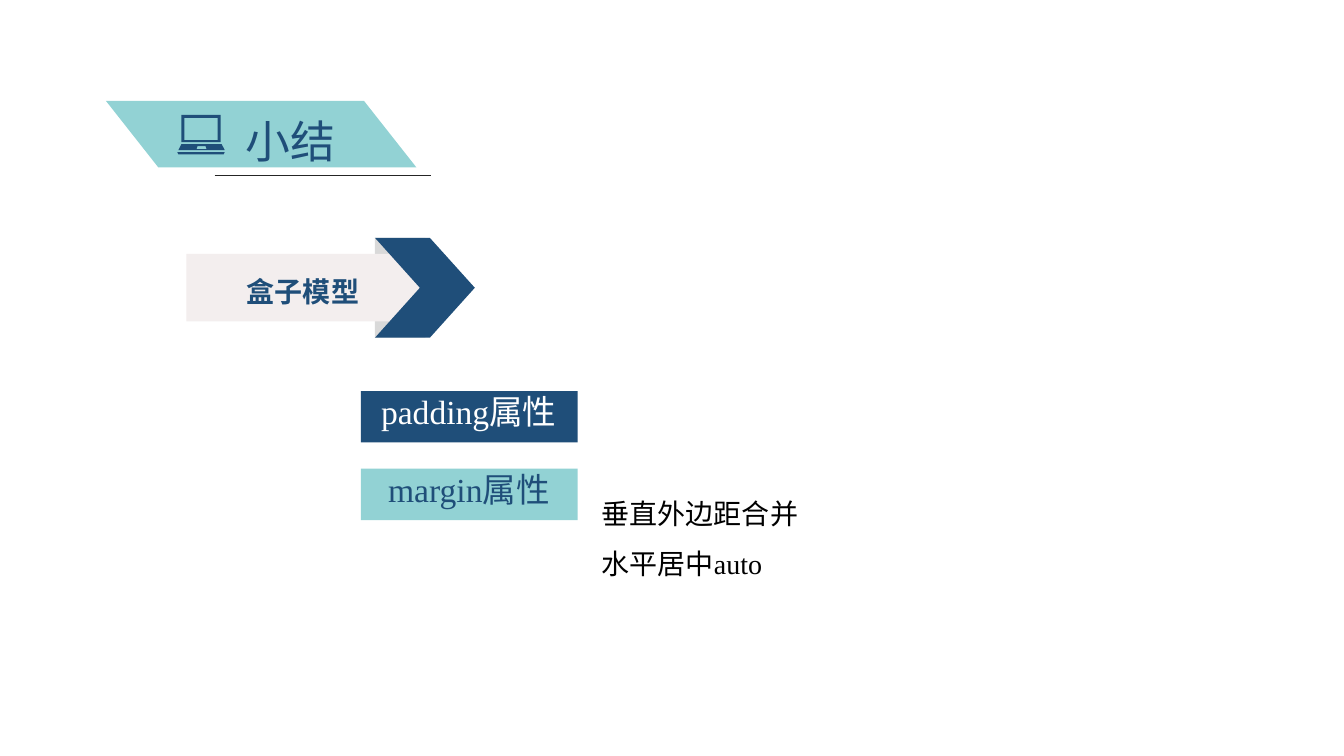
from dataclasses import dataclass

from lxml.etree import SubElement
from pptx import Presentation
from pptx.dml.color import RGBColor
from pptx.enum.shapes import MSO_CONNECTOR, MSO_SHAPE
from pptx.enum.text import MSO_ANCHOR, MSO_AUTO_SIZE, PP_ALIGN
from pptx.oxml.ns import qn
from pptx.util import Emu, Inches, Pt

CELL = Inches(0.1)
COLUMNS, ROWS = 133.33, 75
COLORS = {
    "navy": "1F4E79",
    "teal": "92D2D4",
    "ink": "252525",
    "shade": "D9D9D9",
    "banner": "F3EEEE",
    "white": "FFFFFF",
    "black": "000000",
}
CJK_FONT = "Noto Sans CJK SC"
SERIF_FONT = "Times New Roman"
Contour = list[tuple[float, float]]


@dataclass(frozen=True)
class Area:
    column: float
    row: float
    columns: float
    rows: float

    def lengths(self) -> tuple[Emu, Emu, Emu, Emu]:
        return cells(self.column), cells(self.row), cells(self.columns), cells(self.rows)


@dataclass(frozen=True)
class Wording:
    text: str
    size: int
    color: str
    font: str = SERIF_FONT
    indent: float = 0.1
    bold: bool = False
    spacing: float = 1.0


@dataclass(frozen=True)
class Block:
    area: Area
    fill: str
    preset: MSO_SHAPE = MSO_SHAPE.RECTANGLE
    wording: Wording | None = None


@dataclass(frozen=True)
class Note:
    area: Area
    wording: Wording


RIBBON: list[Contour] = [[(10.5, 10), (36.1, 10), (41.3, 16.6), (15.7, 16.6)]]
LAPTOP: list[Contour] = [
    [(18, 11.4), (21.9, 11.4), (21.9, 14.1), (18, 14.1)],
    [(18.3, 11.7), (18.3, 13.9), (21.9, 13.9), (21.9, 11.7)],
    [(18, 14.3), (22, 14.3), (22.3, 14.9), (17.7, 14.9)],
    [(19.6, 14.5), (19.5, 14.8), (20.5, 14.8), (20.4, 14.5)],
    [(17.6, 15.1), (22.3, 15.1), (22.2, 15.3), (17.7, 15.3)],
]
LAPTOP[1] = [(min(x, 21.6), y) for x, y in LAPTOP[1]]

TITLE = Note(Area(24.3, 11.3, 9.2, 5.4), Wording("小结", 32, "navy", "Courier New"))
BANNER = [
    Block(Area(37.2, 23.6, 5, 9.9), "shade"),
    Block(Area(18.5, 25.2, 23.3, 6.7), "banner"),
    Block(Area(37.2, 23.6, 9.9, 9.9), "navy", MSO_SHAPE.CHEVRON),
]
LABELS = [
    Wording("padding属性", 24, "white", indent=2),
    Wording("margin属性", 24, "navy", indent=2.7),
]
LABEL_FILLS = ["navy", "teal"]
LABEL_AREA = Area(35.8, 38.8, 21.5, 5.1)
LABEL_PITCH = 7.7
NOTES = [
    Note(Area(24.4, 27.2, 11.4, 3.1), Wording("盒子模型", 20, "navy", CJK_FONT, bold=True)),
    Note(
        Area(59.6, 47.6, 19.8, 8.1),
        Wording("垂直外边距合并 水平居中auto", 20, "black", spacing=1.5),
    ),
]


def cells(count: float) -> Emu:
    return Emu(round(count * CELL))


def color(name: str) -> RGBColor:
    return RGBColor.from_string(COLORS[name])


def paint(shape, fill: str) -> None:
    shape.shadow.inherit = False
    shape.fill.solid()
    shape.fill.fore_color.rgb = color(fill)
    shape.line.fill.background()


def write(box, wording: Wording) -> None:
    frame = box.text_frame
    frame.word_wrap = True
    frame.auto_size = MSO_AUTO_SIZE.NONE
    frame.vertical_anchor = MSO_ANCHOR.TOP
    frame.margin_left = frame.margin_right = 0
    frame.margin_top = frame.margin_bottom = 0
    frame.text = wording.text
    para = frame.paragraphs[0]
    para.alignment = PP_ALIGN.LEFT
    para.line_spacing = wording.spacing
    para.font.name = wording.font
    para.font.size = Pt(wording.size)
    para.font.bold = wording.bold
    para.font.color.rgb = color(wording.color)
    properties = para._p.get_or_add_pPr()
    properties.set("marL", str(cells(wording.indent)))
    properties.set("indent", "0")
    SubElement(properties.find(qn("a:defRPr")), qn("a:ea"), typeface=CJK_FONT)


def draw_outline(page, contours: list[Contour], fill: str) -> None:
    points = [[(cells(x), cells(y)) for x, y in contour] for contour in contours]
    builder = page.shapes.build_freeform(*points[0][0])
    for index, contour in enumerate(points):
        if index:
            builder.move_to(*contour[0])
        builder.add_line_segments(contour[1:], close=True)
    paint(builder.convert_to_shape(), fill)


def draw_block(page, block: Block) -> None:
    shape = page.shapes.add_shape(block.preset, *block.area.lengths())
    paint(shape, block.fill)
    if block.preset == MSO_SHAPE.CHEVRON:
        shape.adjustments[0] = 0.45
    if block.wording:
        write(shape, block.wording)


def draw_note(page, note: Note) -> None:
    write(page.shapes.add_textbox(*note.area.lengths()), note.wording)


def draw_rule(page, column: float, row: float, columns: float) -> None:
    rule = page.shapes.add_connector(
        MSO_CONNECTOR.STRAIGHT, cells(column), cells(row), cells(column + columns), cells(row)
    )
    rule.line.color.rgb = color("ink")
    rule.line.width = Pt(0.48)
    SubElement(rule._element.spPr, qn("a:effectLst"))


def place_title(page, note: Note) -> None:
    title = page.shapes.title
    title.left, title.top, title.width, title.height = note.area.lengths()
    write(title, note.wording)
    title.element.getparent().append(title.element)


def main() -> None:
    deck = Presentation()
    deck.slide_width, deck.slide_height = cells(COLUMNS), cells(ROWS)
    page = deck.slides.add_slide(deck.slide_layouts.get_by_name("Title Only"))

    draw_outline(page, RIBBON, "teal")
    draw_rule(page, 21.3, 17.4, 21.5)
    place_title(page, TITLE)
    draw_outline(page, LAPTOP, "navy")

    for block in BANNER:
        draw_block(page, block)
    for index, (wording, fill) in enumerate(zip(LABELS, LABEL_FILLS)):
        area = Area(
            LABEL_AREA.column,
            LABEL_AREA.row + index * LABEL_PITCH,
            LABEL_AREA.columns,
            LABEL_AREA.rows,
        )
        draw_block(page, Block(area, fill, wording=wording))
    for note in NOTES:
        draw_note(page, note)

    deck.save("out.pptx")


if __name__ == "__main__":
    main()
